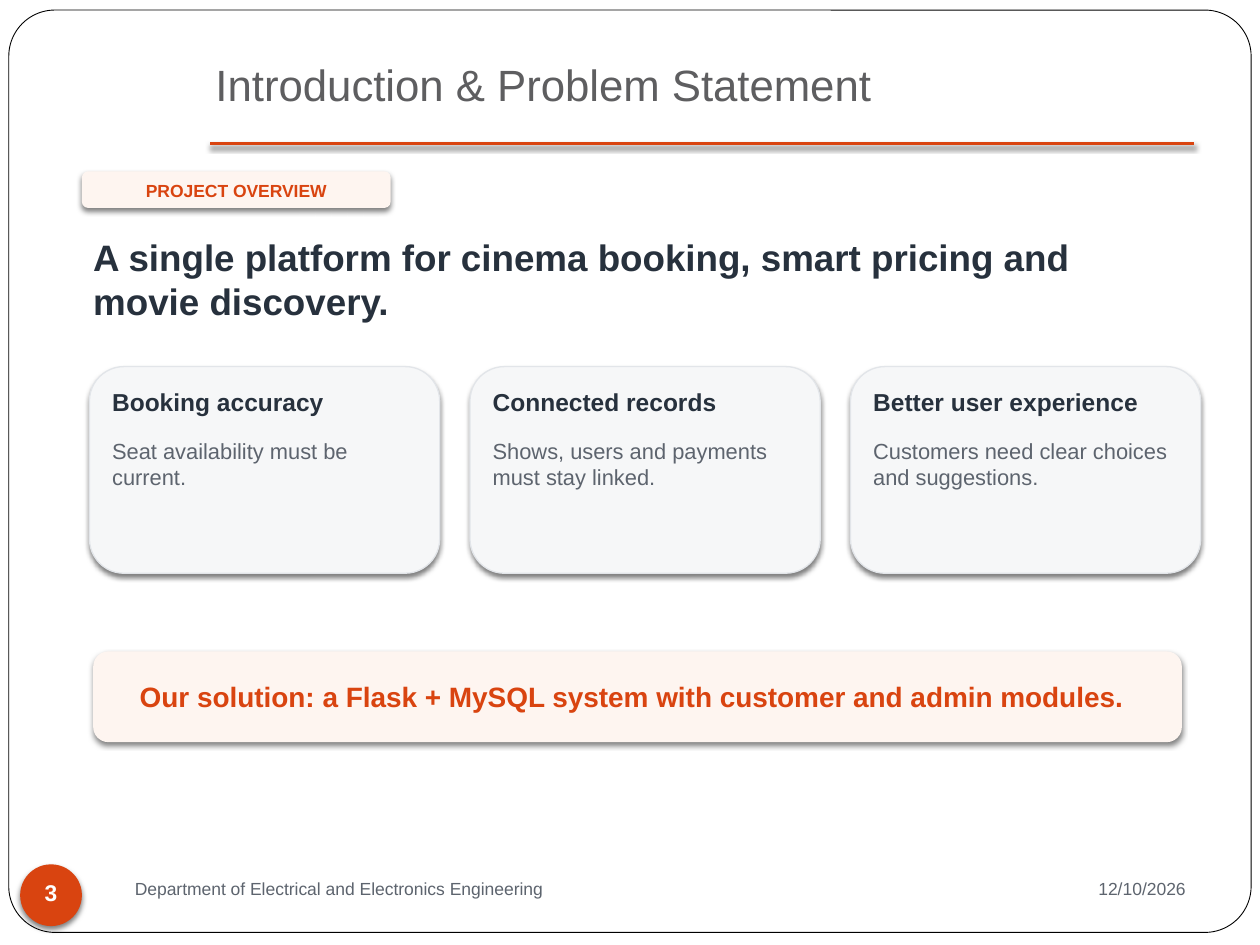
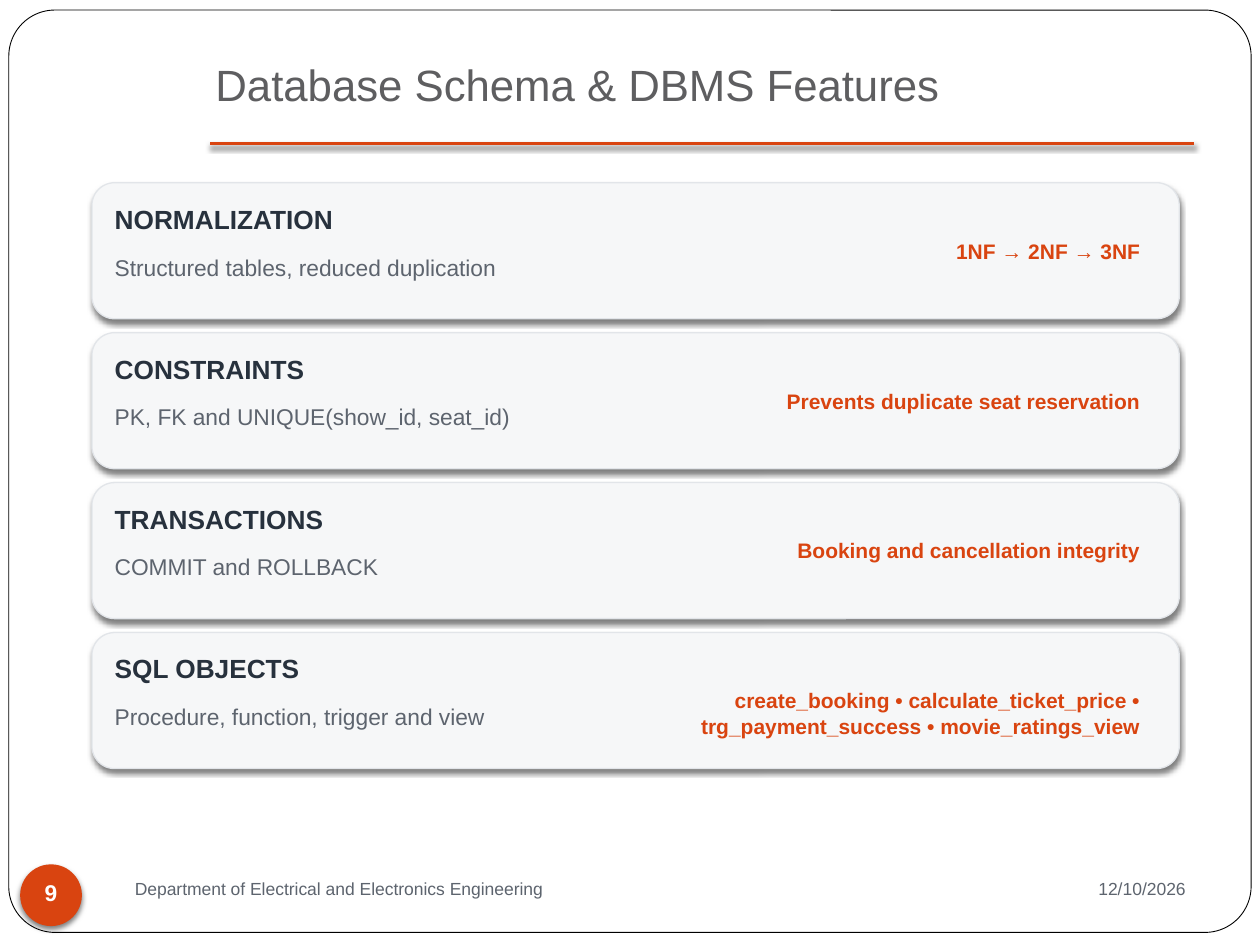
from lxml import etree
from pptx import Presentation
from pptx.dml.color import RGBColor
from pptx.enum.shapes import MSO_CONNECTOR, MSO_SHAPE
from pptx.enum.text import MSO_ANCHOR, MSO_AUTO_SIZE, PP_ALIGN
from pptx.oxml.ns import qn
from pptx.util import Emu, Pt

EMU_PER_PX = 9144
FONT = "Arial"
ACCENT = "D94410"
TINT = "FEF5F0"
INK = "27313D"
MUTED = "5D646E"
TITLE_GRAY = "5E5E60"
CARD_FILL = "F6F7F8"
CARD_BORDER = "E2E5E9"
WHITE = "FFFFFF"
BLACK = "000000"

LEFT = PP_ALIGN.LEFT
CENTER = PP_ALIGN.CENTER
RIGHT = PP_ALIGN.RIGHT
TOP = MSO_ANCHOR.TOP
MIDDLE = MSO_ANCHOR.MIDDLE
GROW = MSO_AUTO_SIZE.SHAPE_TO_FIT_TEXT
ROUNDED = MSO_SHAPE.ROUNDED_RECTANGLE
OVAL = MSO_SHAPE.OVAL
STRAIGHT = MSO_CONNECTOR.STRAIGHT

DEPARTMENT = "Department of Electrical and Electronics Engineering"
DATE = "12/10/2026"

PROBLEMS = [
    ("Booking accuracy", "Seat availability must be current."),
    ("Connected records", "Shows, users and payments must stay linked."),
    ("Better user experience", "Customers need clear choices and suggestions."),
]

FEATURES = [
    ("NORMALIZATION", "Structured tables, reduced duplication", "1NF → 2NF → 3NF"),
    ("CONSTRAINTS", "PK, FK and UNIQUE(show_id, seat_id)",
     "Prevents duplicate seat reservation"),
    ("TRANSACTIONS", "COMMIT and ROLLBACK", "Booking and cancellation integrity"),
    ("SQL OBJECTS", "Procedure, function, trigger and view",
     "create_booking • calculate_ticket_price • "
     "trg_payment_success • movie_ratings_view"),
]


def px(length):
    return Emu(length * EMU_PER_PX)


def color(hex_string):
    return RGBColor.from_string(hex_string)


def add_shadow(shape):
    properties = shape._element.spPr
    effects = properties.find(qn("a:effectLst"))
    if effects is None:
        effects = etree.SubElement(properties, qn("a:effectLst"))
    shadow = etree.SubElement(effects, qn("a:outerShdw"), blurRad=str(Pt(3)),
                              dist=str(Pt(2)), dir="5400000", rotWithShape="0")
    tone = etree.SubElement(shadow, qn("a:srgbClr"), val=BLACK)
    etree.SubElement(tone, qn("a:alpha"), val="50000")


def add_panel(slide, kind, left, top, width, height, fill=None, border=None,
              border_width=0.75, shadow=True):
    shape = slide.shapes.add_shape(kind, px(left), px(top), px(width), px(height))
    if fill:
        shape.fill.solid()
        shape.fill.fore_color.rgb = color(fill)
    else:
        shape.fill.background()
    if border:
        shape.line.color.rgb = color(border)
        shape.line.width = Pt(border_width)
    else:
        shape.line.fill.background()
    shape.shadow.inherit = False
    if shadow:
        add_shadow(shape)
    return shape


def write_text(shape, text, size, tone, bold=False, align=LEFT, anchor=TOP):
    frame = shape.text_frame
    frame.word_wrap = True
    frame.auto_size = GROW
    frame.vertical_anchor = anchor
    frame.margin_left = frame.margin_right = frame.margin_top = px(4)
    frame.margin_bottom = px(2)
    paragraph = frame.paragraphs[0]
    paragraph.alignment = align
    run = paragraph.add_run()
    run.text = text
    run.font.name = FONT
    run.font.size = Pt(size)
    run.font.bold = bold
    run.font.color.rgb = color(tone)


def add_label(slide, left, top, width, height, text, size, tone, **style):
    box = slide.shapes.add_textbox(px(left), px(top), px(width), px(height))
    write_text(box, text, size, tone, **style)


def add_title(slide, text):
    title = slide.shapes.title
    title.left, title.top, title.width, title.height = map(px, (167, 42, 780, 56))
    write_text(title, text, 25, TITLE_GRAY)
    rule = slide.shapes.add_connector(STRAIGHT, px(167), px(114), px(948), px(114))
    rule.line.color.rgb = color(ACCENT)
    rule.line.width = Pt(1.5)
    add_shadow(rule)


def add_footer(slide, number):
    add_panel(slide, OVAL, 16, 686, 49, 49, ACCENT)
    add_label(slide, 16, 687, 49, 40, number, 13, WHITE,
              bold=True, align=CENTER, anchor=MIDDLE)
    add_label(slide, 103, 693, 570, 28, DEPARTMENT, 10, MUTED)
    add_label(slide, 845, 693, 100, 28, DATE, 10, MUTED, align=RIGHT)


def add_base_slide(presentation, title, number):
    slide = presentation.slides.add_slide(presentation.slide_layouts[5])
    frame = add_panel(slide, ROUNDED, 7, 8, 986, 732, border=BLACK,
                      border_width=0.5, shadow=False)
    frame.adjustments[0] = 0.05
    add_title(slide, title)
    add_footer(slide, number)
    return slide


def add_card(slide, left, top, width, height, heading, body, heading_size, body_size):
    add_panel(slide, ROUNDED, left, top, width, height, CARD_FILL, CARD_BORDER)
    add_label(slide, left + 14, top + 12, width - 28, 35, heading,
              heading_size, INK, bold=True)
    add_label(slide, left + 14, top + 52, width - 28, height - 60, body,
              body_size, MUTED)


def build_introduction(presentation):
    slide = add_base_slide(presentation, "Introduction & Problem Statement", "3")
    add_panel(slide, ROUNDED, 65, 136, 245, 29, TINT)
    add_label(slide, 65, 137, 245, 27, "PROJECT OVERVIEW", 10, ACCENT,
              bold=True, align=CENTER, anchor=MIDDLE)
    add_label(slide, 70, 182, 870, 80,
              "A single platform for cinema booking, smart pricing and movie discovery.",
              21, INK, bold=True)
    for column, (heading, body) in enumerate(PROBLEMS):
        add_card(slide, 71 + 302 * column, 291, 278, 164, heading, body, 14, 12.5)
    add_panel(slide, ROUNDED, 74, 517, 864, 72, TINT)
    add_label(slide, 95, 535, 813, 32,
              "Our solution: a Flask + MySQL system with customer and admin modules.",
              16, ACCENT, bold=True, align=CENTER)


def build_database_features(presentation):
    slide = add_base_slide(presentation, "Database Schema & DBMS Features", "9")
    for row, (heading, body, outcome) in enumerate(FEATURES):
        top = 145 + 119 * row
        add_card(slide, 73, top, 863, 108, heading, body, 15, 13)
        add_label(slide, 530, top + 40, 379, 47, outcome, 12, ACCENT,
                  bold=True, align=RIGHT)


def main():
    presentation = Presentation()
    presentation.slide_width = px(1000)
    presentation.slide_height = px(750)
    build_introduction(presentation)
    build_database_features(presentation)
    presentation.save("out.pptx")


if __name__ == "__main__":
    main()
